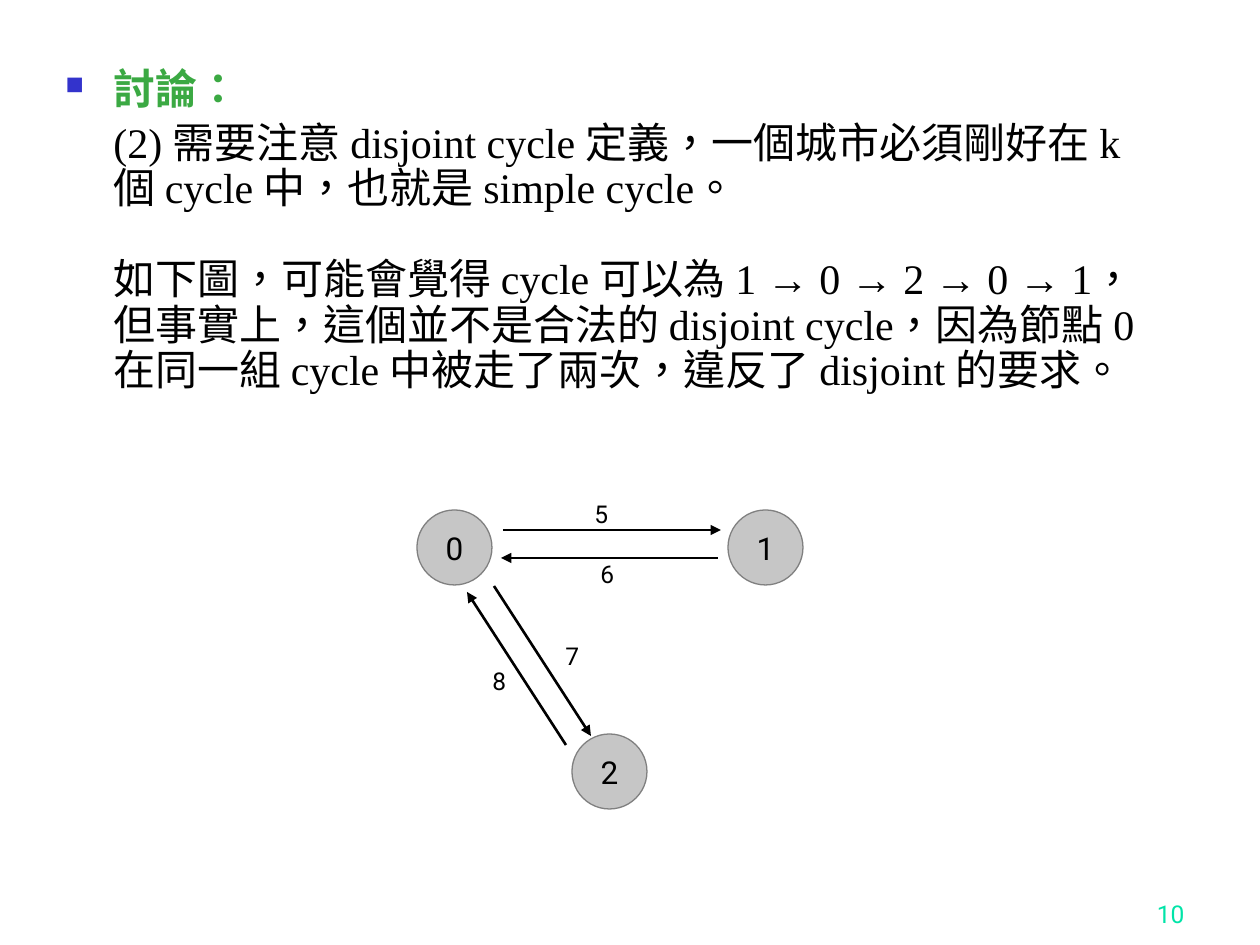
from lxml.etree import SubElement
from pptx import Presentation
from pptx.dml.color import RGBColor
from pptx.enum.lang import MSO_LANGUAGE_ID
from pptx.enum.shapes import MSO_CONNECTOR, MSO_SHAPE
from pptx.enum.text import MSO_ANCHOR, PP_ALIGN
from pptx.oxml.ns import qn
from pptx.util import Emu, Pt

PX = 914400 / 126
THEME = {
    "heading": {"name": "Times New Roman", "size": Pt(24), "bold": True, "color": "3BA943"},
    "body": {"name": "Times New Roman", "size": Pt(24), "bold": False, "color": "000000"},
    "node": {"name": "Roboto", "size": Pt(18), "color": "000000"},
    "weight": {"name": "Roboto", "size": Pt(14), "color": "000000"},
    "page number": {"name": "Roboto", "size": Pt(14), "color": "00E4A8"},
    "bullet": "3333CC",
    "node fill": "C6C6C6",
    "node line": "808080",
    "edge": "000000",
}


def px(*lengths):
    """Turn px lengths into a list of EMU lengths."""
    return [Emu(round(length * PX)) for length in lengths]


def write(para, text, style):
    """Add text to a paragraph in one of the theme's type styles."""
    span = para.add_run()
    span.text = text
    for attribute, value in THEME[style].items():
        if attribute == "color":
            span.font.color.rgb = RGBColor.from_string(value)
        else:
            setattr(span.font, attribute, value)
    return span


deck = Presentation()
deck.slide_width, deck.slide_height = px(1260, 945)
page = deck.slides.add_slide(deck.slide_layouts[6])

# Page number
box = page.shapes.add_textbox(*px(935, 872, 262, 63))
box.text_frame.word_wrap = True
box.text_frame.vertical_anchor = MSO_ANCHOR.BOTTOM
para = box.text_frame.paragraphs[0]
para.alignment = PP_ALIGN.RIGHT
write(para, "10", "page number")

# Discussion: a bulleted heading, then paragraphs aligned with its text
discussion = [
    ("討論：", "heading", 0),
    ("(2) 需要注意 disjoint cycle 定義，一個城市必須剛好在 k 個 cycle 中，"
     "也就是 simple cycle。", "body", 5),
    ("如下圖，可能會覺得 cycle 可以為 1 → 0 → 2 → 0 → 1，但事實上，這個並不是合法的 "
     "disjoint cycle，因為節點 0 在同一組 cycle 中被走了兩次，違反了 disjoint 的要求。", "body", 26),
]
box = page.shapes.add_textbox(*px(53, 62, 1113, 775))
frame = box.text_frame
frame.word_wrap = True
indent = px(48)[0]
for index, (text, style, space_before) in enumerate(discussion):
    para = frame.paragraphs[0] if index == 0 else frame.add_paragraph()
    properties = para._p.get_or_add_pPr()
    properties.set("marL", str(indent))
    if style == "heading":
        properties.set("indent", str(-indent))
        color = SubElement(properties, qn("a:buClr"))
        SubElement(color, qn("a:srgbClr"), val=THEME["bullet"])
        SubElement(properties, qn("a:buSzPct"), val="60000")
        SubElement(properties, qn("a:buChar"), char="■")
    else:
        properties.set("indent", "0")
        SubElement(properties, qn("a:buNone"))
    para.line_spacing = 0.9
    para.space_before = Pt(space_before)
    span = write(para, text, style)
    span.font.language_id = MSO_LANGUAGE_ID.TRADITIONAL_CHINESE

# Graph nodes: label, left, top
NODE_SIZE = 75
for label, left, top in [("2", 572, 734), ("1", 728, 510), ("0", 417, 510)]:
    node = page.shapes.add_shape(
        MSO_SHAPE.FLOWCHART_CONNECTOR, *px(left, top, NODE_SIZE, NODE_SIZE))
    node.shadow.inherit = False
    node.fill.solid()
    node.fill.fore_color.rgb = RGBColor.from_string(THEME["node fill"])
    node.line.color.rgb = RGBColor.from_string(THEME["node line"])
    node.line.width = Pt(0.75)
    frame = node.text_frame
    for side in ("left", "top", "right", "bottom"):
        setattr(frame, f"margin_{side}", 0)
    frame.vertical_anchor = MSO_ANCHOR.MIDDLE
    para = frame.paragraphs[0]
    para.alignment = PP_ALIGN.CENTER
    write(para, label, "node")

# Graph edges: weight, ends of the arrow, left and top of the weight
edges = [
    ("5", (503, 530, 721, 530), (582, 493)),
    ("6", (718, 558, 501, 558), (588, 553)),
    ("8", (566, 745, 467, 592), (480, 660)),
    ("7", (494, 586, 591, 736), (553, 635)),
]
for weight, ends, corner in edges:
    edge = page.shapes.add_connector(MSO_CONNECTOR.STRAIGHT, *px(*ends))
    edge.line.color.rgb = RGBColor.from_string(THEME["edge"])
    edge.line.width = Pt(1.5)
    SubElement(edge.line._get_or_add_ln(), qn("a:tailEnd"), type="triangle")
    SubElement(edge._element.spPr, qn("a:effectLst"))
    box = page.shapes.add_textbox(*px(*corner, 50, 43))
    box.text_frame.word_wrap = True
    write(box.text_frame.paragraphs[0], weight, "weight")

deck.save("out.pptx")
